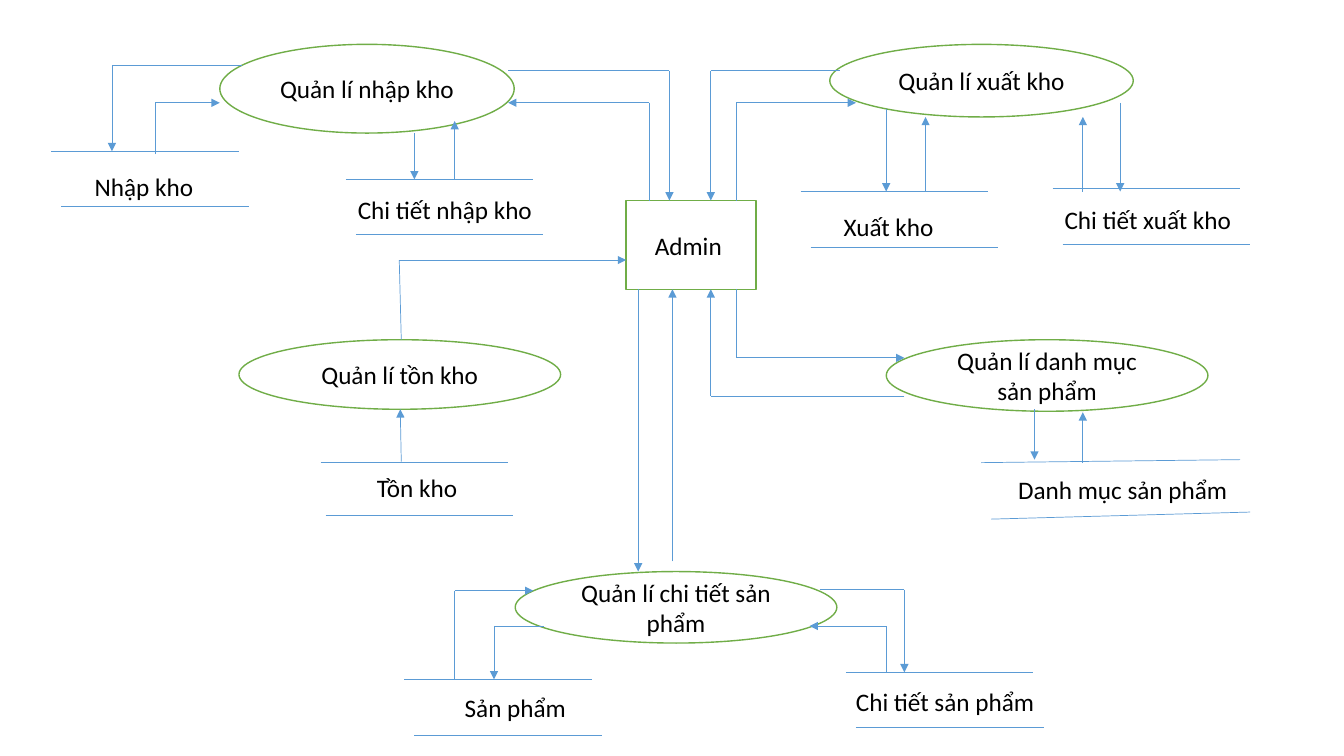
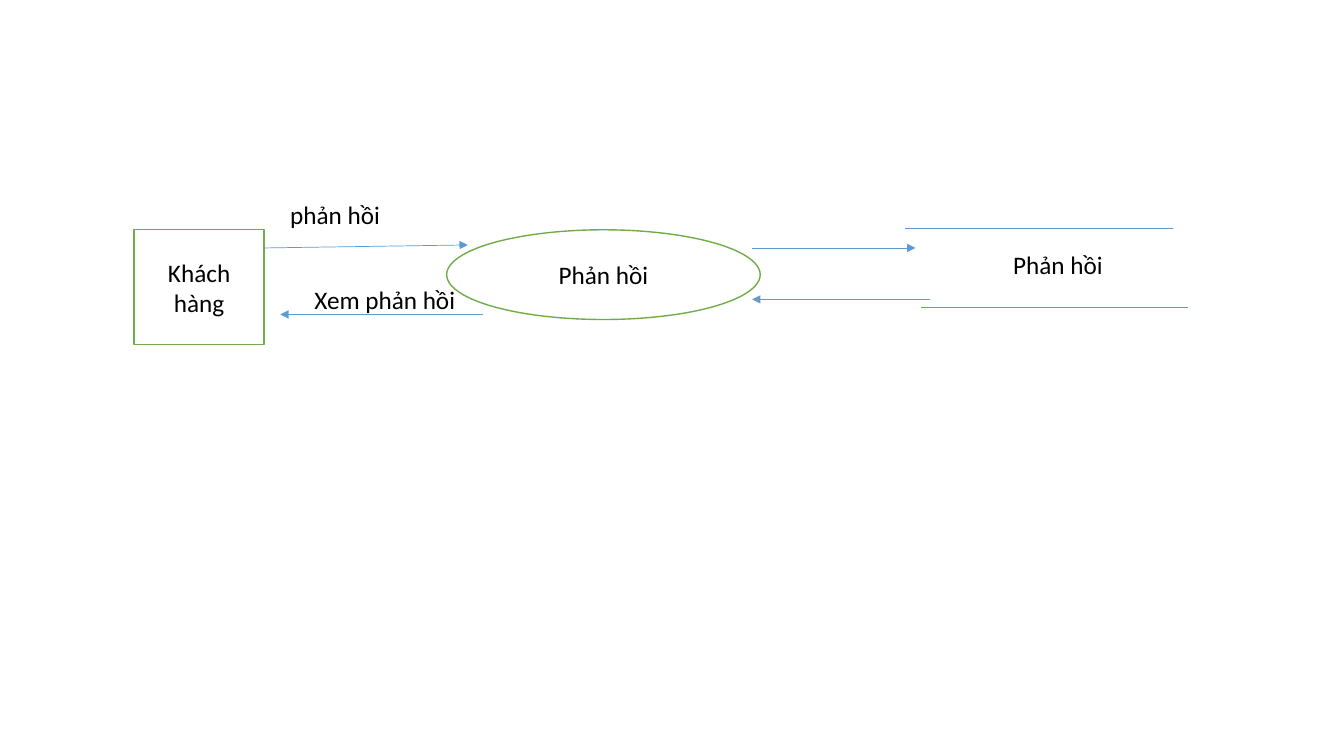
from itertools import pairwise

from lxml.etree import SubElement
from pptx import Presentation
from pptx.dml.color import RGBColor
from pptx.enum.shapes import MSO_CONNECTOR as Link, MSO_SHAPE as Form
from pptx.enum.text import MSO_ANCHOR as Anchor, MSO_AUTO_SIZE as Fit, PP_ALIGN as Align
from pptx.oxml.ns import qn
from pptx.util import Inches, Pt

hue = RGBColor.from_string
GREEN, BLUE, BLACK, WHITE = "70AD47", "5B9BD5", "000000", "FFFFFF"


def write(shape, text, align):
    para = shape.text_frame.paragraphs[0]
    para.text = text
    para.alignment = align
    para.font.name = "Calibri"
    para.font.size = Pt(18)
    para.font.color.rgb = hue(BLACK)


def draw(slide, points, arrow=False):
    pairs = list(pairwise(points))
    for pair in pairs:
        ends = [Inches(n) for point in pair for n in point]
        line = slide.shapes.add_connector(Link.STRAIGHT, *ends)
        line.line.color.rgb = hue(BLUE)
        line.line.width = Pt(0.5)
        props = line.element.spPr
        SubElement(props, qn("a:effectLst"))
        if arrow and pair == pairs[-1]:
            SubElement(props.find(qn("a:ln")), qn("a:tailEnd"), type="triangle")


stock = {
    "nodes": [
        (Form.RECTANGLE, "Admin ", 6.21, 1.99, 1.29, 0.88),
        (Form.OVAL, "Quản lí nhập kho", 2.18, 0.44, 2.92, 0.88),
        (Form.OVAL, "Quản lí xuất kho", 8.23, 0.44, 3.01, 0.72),
        (Form.OVAL, "Quản lí tồn kho", 2.37, 3.37, 3.19, 0.69),
        (Form.OVAL, "Quản lí danh mục sản phẩm", 8.79, 3.37, 3.19, 0.71),
        (Form.OVAL, "Quản lí chi tiết sản phẩm", 5.11, 5.67, 3.19, 0.71),
    ],
    "labels": [
        ("Nhập kho", 0.84, 1.65, 1.19),
        ("Chi tiết nhập kho", 3.45, 1.88, 1.95),
        ("Xuất kho", 8.27, 2.05, 1.1),
        ("Chi tiết xuất kho", 10.46, 1.98, 1.88),
        ("Tồn kho", 3.64, 4.64, 1.01),
        ("Danh mục sản phẩm", 10, 4.66, 2.3),
        ("Sản phẩm", 4.51, 6.82, 1.22),
        ("Chi tiết sản phẩm", 8.39, 6.76, 1.99),
    ],
    "stores": [
        (0.51, 1.5, 1.86, 0.1, 0.55),
        (3.43, 1.78, 1.86, 0.1, 0.55),
        (7.94, 1.9, 1.86, 0.1, 0.55),
        (10.44, 1.87, 1.86, 0.1, 0.55),
        (3.18, 4.59, 1.86, 0.05, 0.52),
        (4.01, 6.74, 1.86, 0.1, 0.56),
        (8.39, 6.67, 1.86, 0.1, 0.55),
    ],
    "rules": [
        [(9.73, 4.59), (12.3, 4.56)],
        [(9.83, 5.15), (12.4, 5.08)],
    ],
    "flows": [
        [(6.44, 1.99), (6.44, 1.02), (5.04, 1.02)],
        [(5.04, 0.7), (6.64, 0.7), (6.64, 1.99)],
        [(7.3, 1.99), (7.3, 1.02), (8.49, 1.02)],
        [(8.33, 0.7), (7.05, 0.7), (7.05, 1.99)],
        [(2.4, 0.65), (1.11, 0.65), (1.11, 1.5)],
        [(1.54, 1.53), (1.54, 1.02), (2.18, 1.02)],
        [(4.11, 1.32), (4.11, 1.78)],
        [(4.51, 1.78), (4.51, 1.2)],
        [(8.79, 1.08), (8.79, 1.9)],
        [(9.18, 1.9), (9.18, 1.16)],
        [(10.74, 1.9), (10.74, 1.16)],
        [(11.11, 1.02), (11.11, 1.9)],
        [(3.98, 3.37), (3.96, 2.58), (6.21, 2.58)],
        [(7.3, 2.87), (7.3, 3.55), (8.97, 3.55)],
        [(8.97, 3.93), (7.05, 3.93), (7.05, 2.87)],
        [(3.98, 4.58), (3.97, 4.06)],
        [(10.26, 4.06), (10.26, 4.56)],
        [(10.74, 4.59), (10.74, 4.09)],
        [(6.33, 2.87), (6.33, 5.67)],
        [(6.67, 5.57), (6.67, 2.87)],
        [(4.51, 6.74), (4.51, 5.86), (5.29, 5.86)],
        [(5.4, 6.21), (4.9, 6.21), (4.9, 6.74)],
        [(8.13, 5.85), (8.97, 5.85), (8.97, 6.67)],
        [(8.79, 6.67), (8.79, 6.21), (8.03, 6.21)],
    ],
}

reply = {
    "nodes": [
        (Form.RECTANGLE, "Khách hàng", 1.33, 2.28, 1.29, 1.14),
        (Form.OVAL, "Phản hồi", 4.43, 2.28, 3.11, 0.89),
    ],
    "labels": [
        ("Phản hồi", 9.95, 2.42, 1.1),
        ("Xem phản hồi", 3.02, 2.77, 1.62),
        ("phản hồi", 2.78, 1.93, 1.1),
    ],
    "stores": [(8.98, 2.27, 2.65, 0.15, 0.78)],
    "rules": [],
    "flows": [
        [(9.22, 2.97), (7.46, 2.97)],
        [(4.79, 3.12), (2.78, 3.12)],
        [(2.62, 2.46), (4.64, 2.43)],
        [(7.46, 2.46), (9.08, 2.46)],
    ],
}

deck = Presentation()
deck.slide_width = Inches(13.33)
deck.slide_height = Inches(7.5)

for chart in (stock, reply):
    slide = deck.slides.add_slide(deck.slide_layouts[6])
    for form, text, *box in chart["nodes"]:
        node = slide.shapes.add_shape(form, *map(Inches, box))
        node.shadow.inherit = False
        node.fill.solid()
        node.fill.fore_color.rgb = hue(WHITE)
        node.line.color.rgb = hue(GREEN)
        node.line.width = Pt(1)
        node.text_frame.vertical_anchor = Anchor.MIDDLE
        write(node, text, Align.CENTER)
    for x, y, wide, shift, drop in chart["stores"]:
        draw(slide, [(x, y), (x + wide, y)])
        draw(slide, [(x + shift, y + drop), (x + shift + wide, y + drop)])
    for rule in chart["rules"]:
        draw(slide, rule)
    for text, *box in chart["labels"]:
        label = slide.shapes.add_textbox(*map(Inches, box), Inches(0.4))
        label.text_frame.word_wrap = False
        label.text_frame.auto_size = Fit.SHAPE_TO_FIT_TEXT
        write(label, text, Align.LEFT)
    for flow in chart["flows"]:
        draw(slide, flow, arrow=True)

deck.save("out.pptx")
